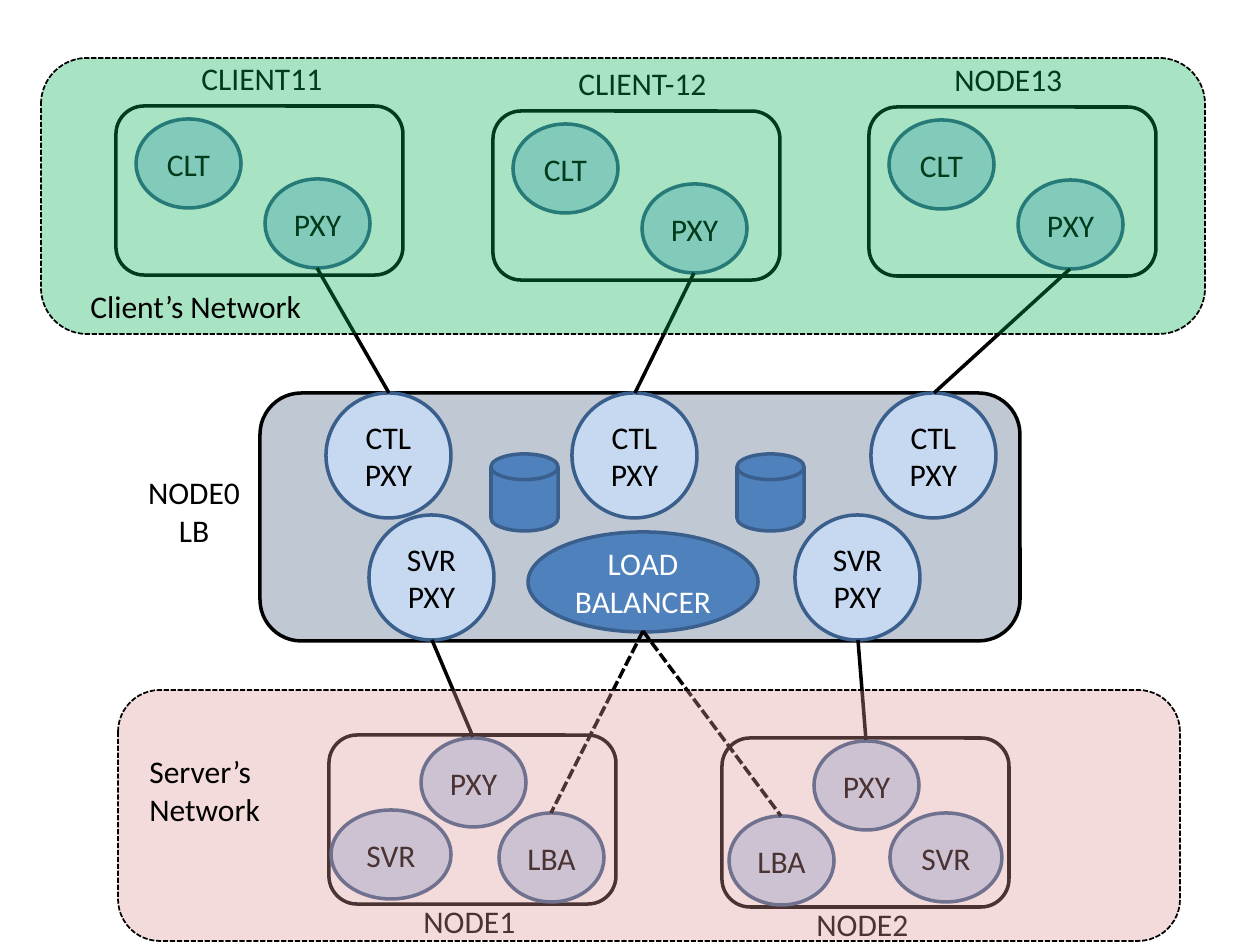
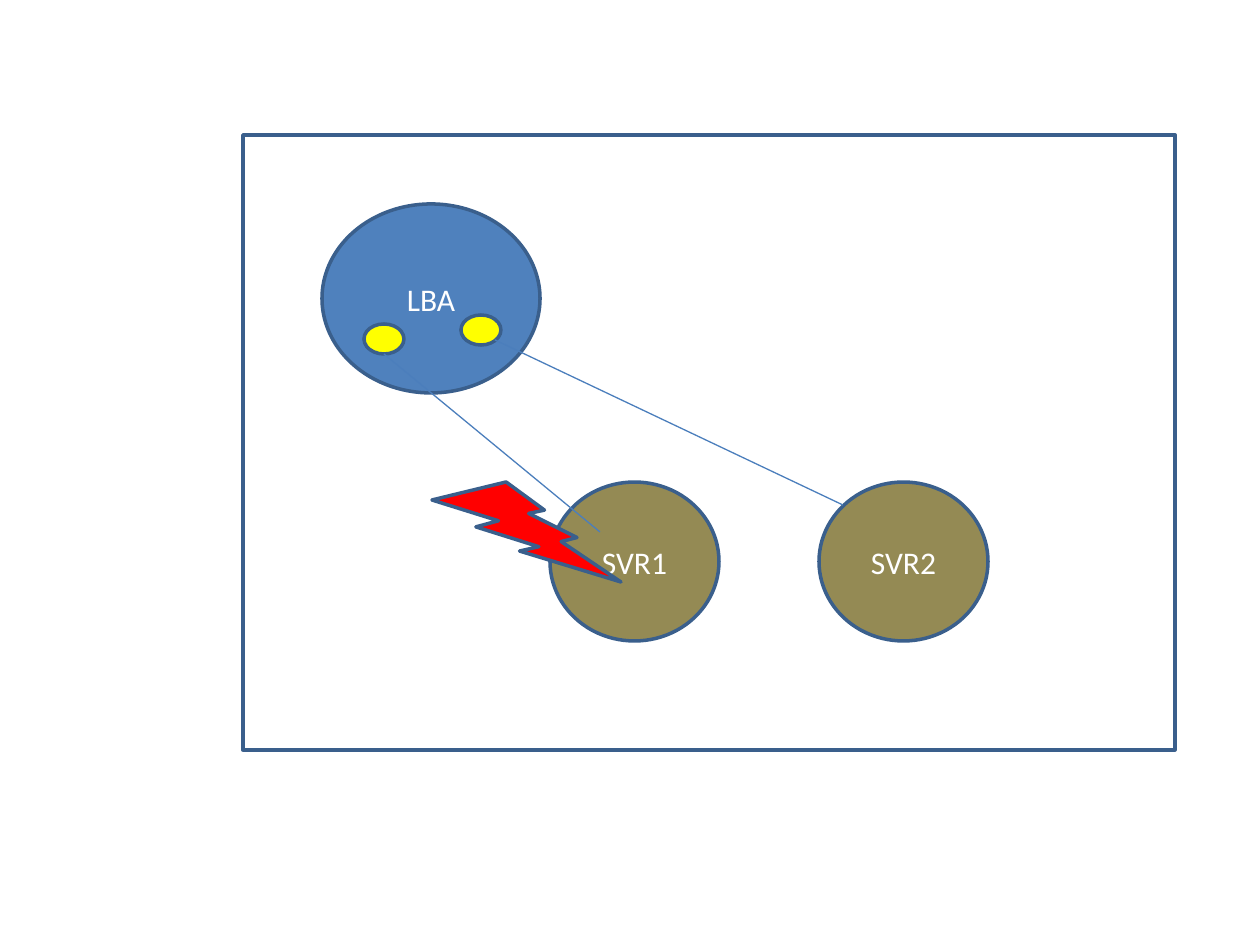
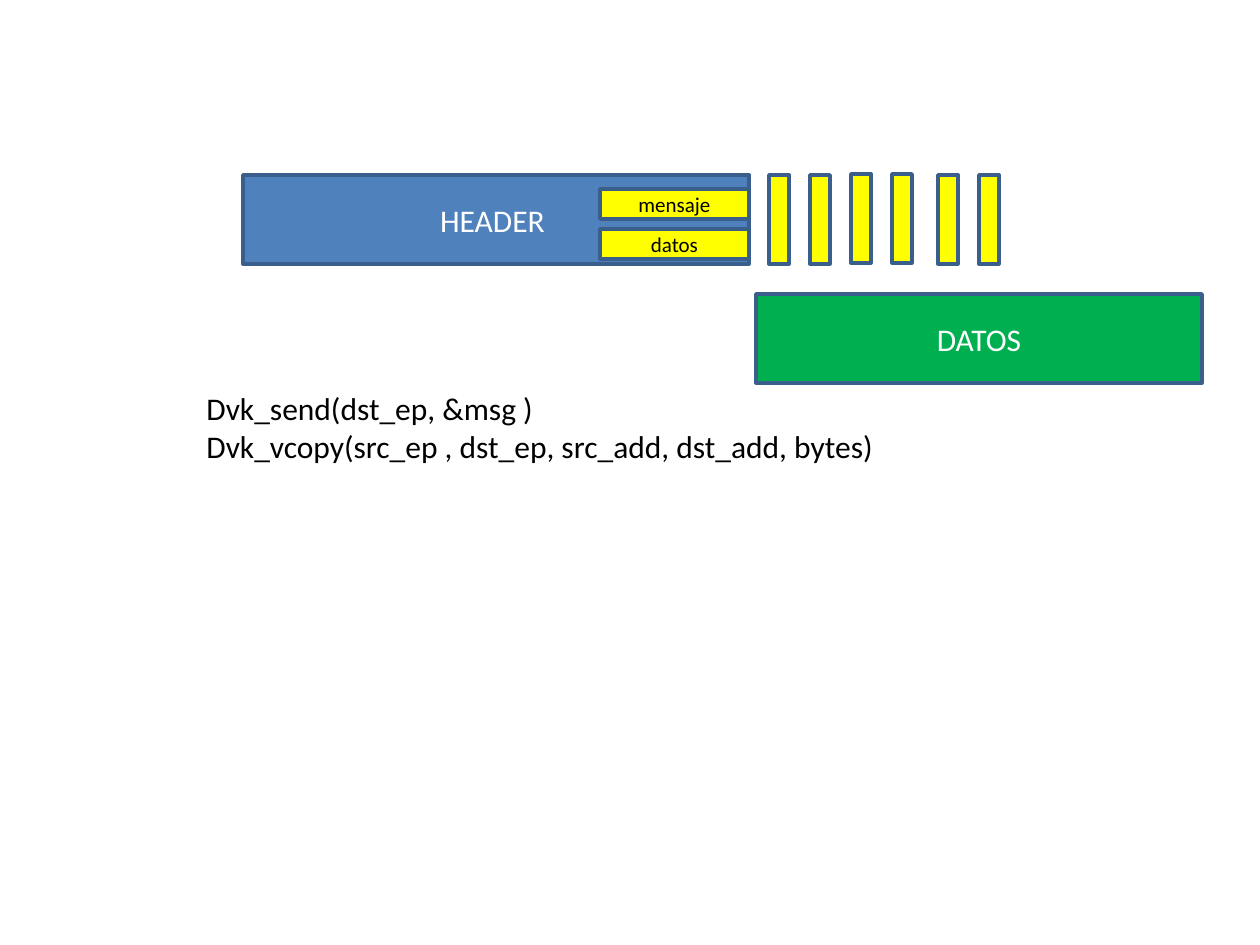
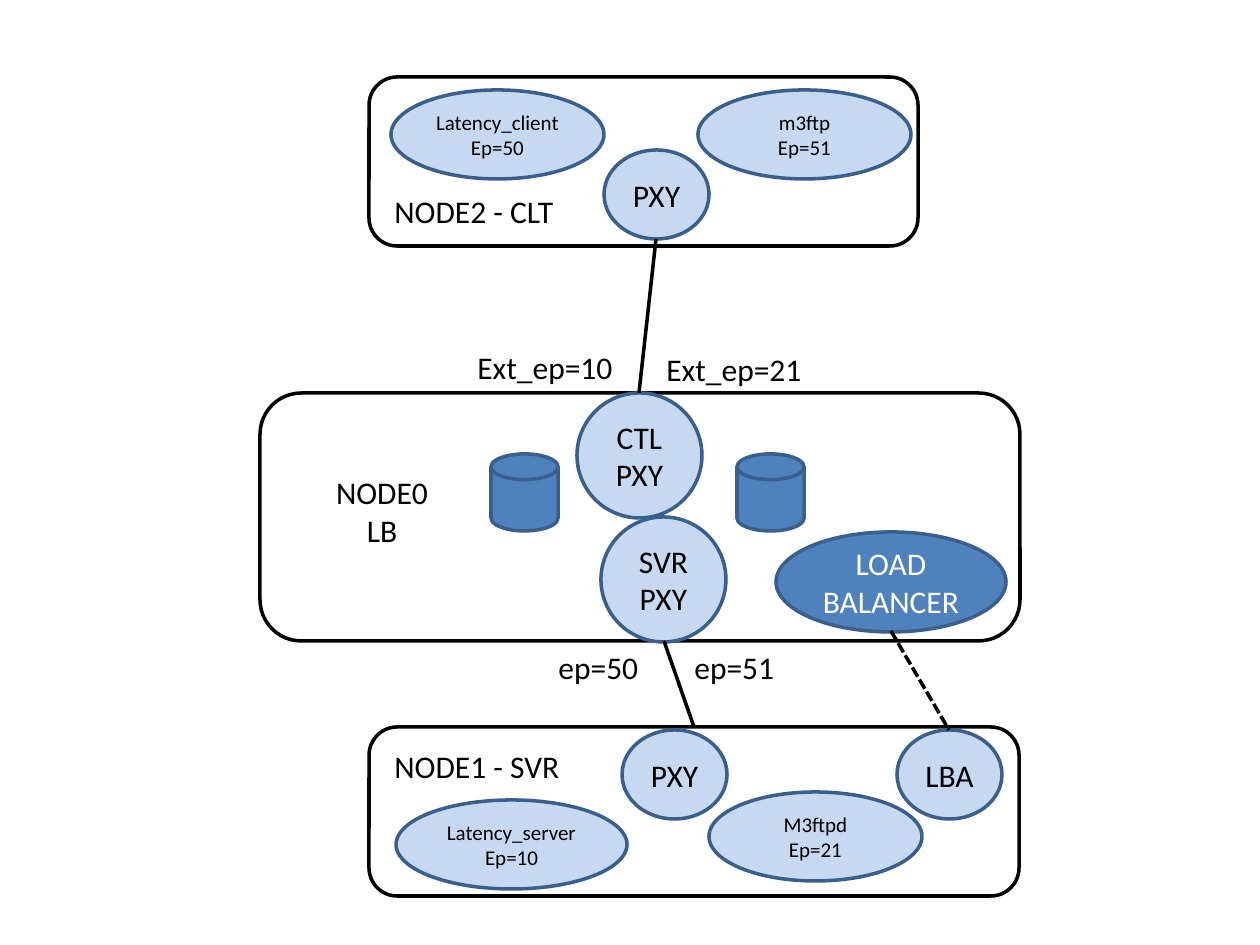
from lxml import etree
from pptx import Presentation
from pptx.dml.color import RGBColor
from pptx.enum.dml import MSO_LINE
from pptx.enum.shapes import MSO_CONNECTOR, MSO_SHAPE
from pptx.enum.text import MSO_ANCHOR, MSO_AUTO_SIZE, PP_ALIGN
from pptx.oxml.ns import qn
from pptx.util import Pt

PX = 914400 / 126  # EMU per pixel
RECT, ROUND = MSO_SHAPE.RECTANGLE, MSO_SHAPE.ROUNDED_RECTANGLE
OVAL, BOLT = MSO_SHAPE.OVAL, MSO_SHAPE.LIGHTNING_BOLT
DISK = MSO_SHAPE.FLOWCHART_MAGNETIC_DISK
STRAIGHT, DASH = MSO_CONNECTOR.STRAIGHT, MSO_LINE.SQUARE_DOT
LEFT, CENTER = PP_ALIGN.LEFT, PP_ALIGN.CENTER
MIDDLE = MSO_ANCHOR.MIDDLE
FIT = MSO_AUTO_SIZE.SHAPE_TO_FIT_TEXT

COLORS = {
    "black": "000000", "white": "FFFFFF", "edge": "3A5F8C", "link": "4B7EBC",
    "pale": "C6D9F1", "blue": "4F81BD", "navy": "17375E", "green": "00B050",
    "rose": "D99694", "yellow": "FFFF00", "red": "FF0000", "olive": "948A54",
}
RGB = {name: RGBColor.from_string(value) for name, value in COLORS.items()}

# Named looks shared by all slides
PROCESS = {"fill": "pale"}
SMALL = {"fill": "pale", "size": 12}
SOLID = {"fill": "blue", "color": "white"}
FRAME = {"line": "black"}
ZONE = {"line": "black", "weight": 1, "dash": DASH, "opacity": 34}
YELLOW = {"fill": "yellow"}
FIELD = {"fill": "yellow", "size": 12}

# Text frame settings: shapes centre their text, text boxes fit it
SHAPE_TEXT = {"word_wrap": False, "vertical_anchor": MIDDLE,
              "margin_top": 0, "margin_bottom": 0}
BOX_TEXT = {"word_wrap": False, "auto_size": FIT}


def add(s, kind, x, y, w, h, text="", fill=None, line="edge", weight=2, dash=None,
        opacity=None, color="black", size=18, align=CENTER):
    """Add a preset shape, or a text box when kind is None."""
    box = [round(v * PX) for v in (x, y, w, h)]
    if kind is None:
        sp = s.shapes.add_textbox(*box)
    else:
        sp = s.shapes.add_shape(kind, *box)
        sp.shadow.inherit = False
        sp.line.color.rgb = RGB[line]
        sp.line.width = Pt(weight)
        if dash:
            sp.line.dash_style = dash
        if fill:
            sp.fill.solid()
            sp.fill.fore_color.rgb = RGB[fill]
        else:
            sp.fill.background()
        if opacity:
            clr = sp.element.spPr.find(qn("a:solidFill"))[0]
            etree.SubElement(clr, qn("a:alpha"), val=str(opacity * 1000))
    if not text:
        return
    tf = sp.text_frame
    tf.text = text
    for key, value in (BOX_TEXT if kind is None else SHAPE_TEXT).items():
        setattr(tf, key, value)
    for p in tf.paragraphs:
        p.alignment = align
        for r in p.runs:
            font = {"name": "Calibri", "size": Pt(size)}
            for key, value in font.items():
                setattr(r.font, key, value)
            r.font.color.rgb = RGB[color]


def connect(s, x1, y1, x2, y2, color="black", weight=2, dash=None):
    """Draw a straight line without a shadow."""
    c = s.shapes.add_connector(STRAIGHT, *[round(v * PX) for v in (x1, y1, x2, y2)])
    c.line.color.rgb = RGB[color]
    c.line.width = Pt(weight)
    if dash:
        c.line.dash_style = dash
    etree.SubElement(c.element.spPr, qn("a:effectLst"))


prs = Presentation()
prs.slide_width, prs.slide_height = round(1260 * PX), round(945 * PX)
blank = prs.slide_layouts[6]
network, failure, message, endpoints = [prs.slides.add_slide(blank) for _ in range(4)]

# Load balancer node, on the network and endpoint slides
for s, label_x, balancer_x, tint in (
    (network, 135, 528, {"fill": "navy", "opacity": 27}),
    (endpoints, 323, 776, {}),
):
    add(s, ROUND, 260, 393, 760, 248, **FRAME, **tint)
    add(s, None, label_x, 467, 118, 89, "NODE0\nLB")
    add(s, OVAL, balancer_x, 532, 230, 100, "LOAD\nBALANCER", **SOLID)
    for x in (491, 737):
        add(s, DISK, x, 454, 67, 77, fill="blue")

# Slide 1: clients, each linked to its control proxy
s = network
for name, x, y, label_w, ctl_x in (
    ("CLIENT11", 116, 106, 147, 326),
    ("CLIENT-12", 493, 111, 158, 572),
    ("NODE13", 869, 107, 135, 871),
):
    add(s, ROUND, x, y, 287, 169, **FRAME)
    add(s, OVAL, x + 20, y + 13, 105, 89, "CLT", **PROCESS)
    add(s, OVAL, x + 149, y + 73, 105, 89, "PXY", **PROCESS)
    add(s, None, x + 73, y - 53, label_w, 50, name, align=LEFT)
    add(s, OVAL, ctl_x, 393, 125, 125, "CTL\nPXY", **PROCESS)
    connect(s, x + 201, y + 162, ctl_x + 63, 393)

# Servers, each linked to its server proxy and to the balancer
for name, x, y, svr_dx, svr_w, lba_dx, proxy_x in (
    ("NODE1", 329, 735, 2, 120, 170, 369),
    ("NODE2", 722, 738, 168, 112, 7, 795),
):
    add(s, ROUND, x, y, 287, 169, **FRAME)
    add(s, OVAL, x + svr_dx, y + 75, svr_w, 89, "SVR", **PROCESS)
    add(s, OVAL, x + 92, y + 3, 105, 89, "PXY", **PROCESS)
    add(s, None, x + 82, y + 161, 118, 50, name, align=LEFT)
    add(s, OVAL, x + lba_dx, y + 78, 105, 89, "LBA", **PROCESS)
    add(s, OVAL, proxy_x, 515, 125, 125, "SVR\nPXY", **PROCESS)
    connect(s, proxy_x + 63, 640, x + 144, y + 2)
    connect(s, 643, 631, x + lba_dx + 52, y + 78, dash=DASH)

# Translucent network zones lie over the nodes
add(s, ROUND, 118, 690, 1062, 251, fill="rose", **ZONE)
add(s, ROUND, 41, 58, 1164, 276, fill="green", **ZONE)
add(s, None, 137, 746, 137, 89, "Server’s\nNetwork", align=LEFT)
add(s, None, 78, 281, 238, 50, "Client’s Network", align=LEFT)

# Slide 2: the agent loses one of two servers
s = failure
add(s, RECT, 243, 135, 932, 615)
add(s, OVAL, 322, 204, 218, 189, "LBA", **SOLID)
for name, x in (("SVR1", 550), ("SVR2", 819)):
    add(s, OVAL, x, 482, 169, 159, name, fill="olive", color="white")
for x, y in ((364, 324), (461, 315)):
    add(s, OVAL, x, y, 40, 30, **YELLOW)
for ends in ((384, 354, 600, 532), (495, 340, 843, 505)):
    connect(s, *ends, color="link", weight=0.75)
add(s, BOLT, 432, 482, 189, 100, fill="red")

# Slide 3: message layout
s = message
add(s, RECT, 243, 175, 506, 89, "HEADER ", **SOLID)
for name, y in (("mensaje", 189), ("datos", 229)):
    add(s, RECT, 600, y, 149, 30, name, **FIELD)
add(s, RECT, 756, 294, 446, 89, "DATOS", fill="green", color="white")
add(s, None, 194, 383, 701, 89,
    "Dvk_send(dst_ep, &msg ) \nDvk_vcopy(src_ep , dst_ep, src_add, dst_add, bytes)",
    align=LEFT)
for start, y in ((769, 175), (851, 174), (938, 175)):
    for x in (start, start + 41):
        add(s, RECT, x, y, 20, 89, **YELLOW)

# Slide 4: endpoints along the route from client to server
s = endpoints
add(s, ROUND, 369, 77, 549, 169, **FRAME)
add(s, ROUND, 369, 727, 650, 169, **FRAME)
for name, x, y in (("PXY", 604, 150), ("PXY", 622, 730), ("LBA", 897, 730)):
    add(s, OVAL, x, y, 105, 89, name, **PROCESS)
for name, x, y in (("CTL", 577, 393), ("SVR", 601, 517)):
    add(s, OVAL, x, y, 125, 125, name + "\nPXY", **PROCESS)
for name, x, y, w in (
    ("Latency_client\nEp=50", 391, 90, 213),
    ("m3ftp\nEp=51", 698, 90, 213),
    ("Latency_server\nEp=10", 396, 800, 231),
    ("M3ftpd\nEp=21", 709, 792, 213),
):
    add(s, OVAL, x, y, w, 89, name, **SMALL)
connect(s, 656, 239, 639, 393)
connect(s, 664, 641, 694, 727)
connect(s, 891, 631, 949, 730, dash=DASH)
for text, x, y, w in (
    ("NODE2 - CLT", 382, 186, 186),
    ("NODE1 - SVR", 382, 741, 193),
    ("Ext_ep=10", 465, 342, 163),
    ("Ext_ep=21", 654, 344, 163),
    ("ep=50", 546, 642, 106),
    ("ep=51", 682, 642, 106),
):
    add(s, None, x, y, w, 50, text, align=LEFT)

prs.save("out.pptx")
